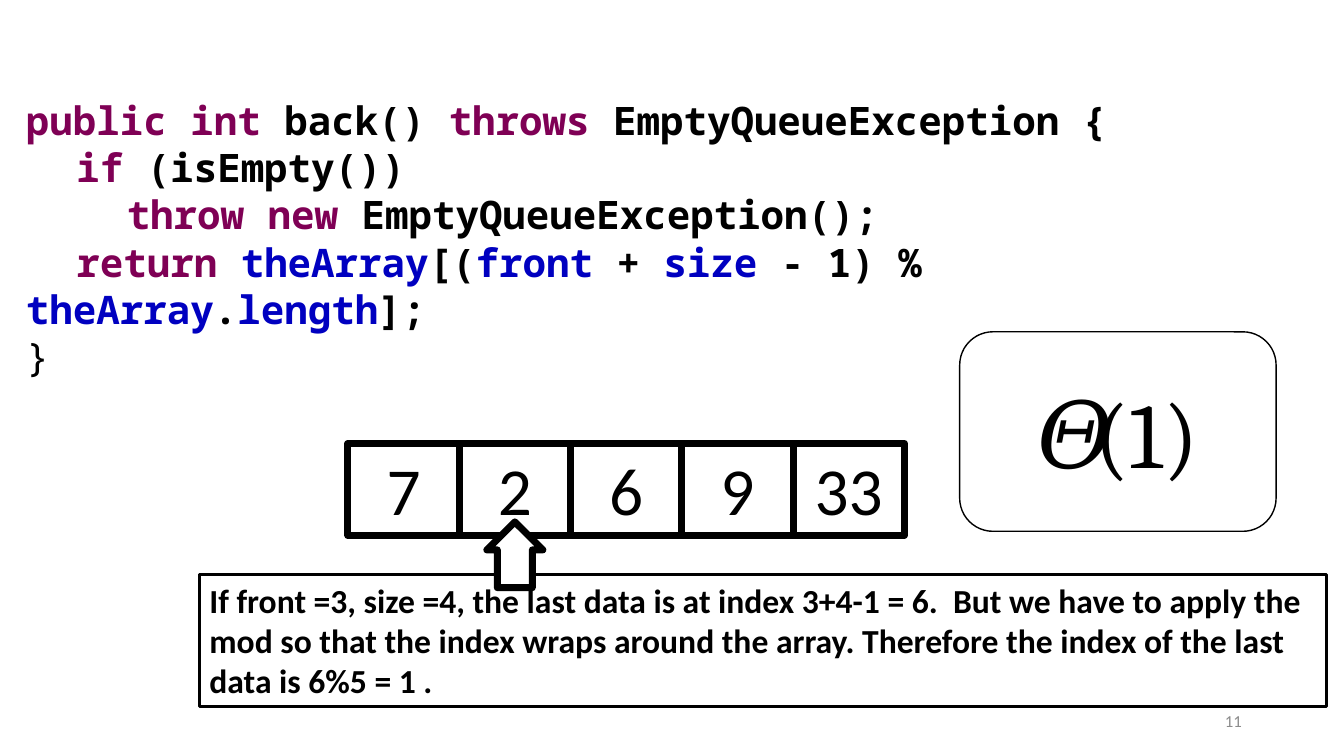
from pptx import Presentation
from pptx.dml.color import RGBColor
from pptx.enum.shapes import MSO_SHAPE
from pptx.enum.text import MSO_ANCHOR, PP_ALIGN
from pptx.util import Pt

RECT, ROUND, ARROW = MSO_SHAPE.RECTANGLE, MSO_SHAPE.ROUNDED_RECTANGLE, MSO_SHAPE.UP_ARROW
LEFT, MID, RIGHT = PP_ALIGN.LEFT, PP_ALIGN.CENTER, PP_ALIGN.RIGHT
TOP, CENTER = MSO_ANCHOR.TOP, MSO_ANCHOR.MIDDLE

BLACK = RGBColor(0x00, 0x00, 0x00)
WHITE = RGBColor(0xFF, 0xFF, 0xFF)
GREY = RGBColor(0x8C, 0x8C, 0x8C)
PLUM = RGBColor(0x7F, 0x00, 0x55)
BLUE = RGBColor(0x00, 0x00, 0xC0)

BODY, MATH, MONO = "Calibri", "Cambria", "Noto Sans Mono"

# Each code line is a list of (text, colour) parts
CODE = [
    [("public int", PLUM), (" back() ", BLACK), ("throws ", PLUM),
     ("EmptyQueueException {", BLACK)],
    [("\tif", PLUM), (" (isEmpty())", BLACK)],
    [("\t\tthrow new ", PLUM), ("EmptyQueueException();", BLACK)],
    [("\treturn ", PLUM), ("theArray", BLUE), ("[(", BLACK), ("front", BLUE),
     (" + ", BLACK), ("size", BLUE), (" - 1) % ", BLACK), ("theArray", BLUE),
     (".", BLACK), ("length", BLUE), ("];", BLACK)],
    [("}", BLACK)],
]
QUEUE = ["7", "2", "6", "9", "33"]
BACK = 1  # index of the last item in the queue
NOTE = ("If front =3, size =4, the last data is at index 3+4-1 = 6.  But we have to "
        "apply the mod so that the index wraps around the array. Therefore the index "
        "of the last data is 6%5 = 1 .")


def style(run, face, size, color, bold=False):
    font = run.font
    font.name, font.size, font.bold = face, Pt(size), bold
    font.color.rgb = color


def write(shape, text, face, size, color=BLACK, bold=False, align=LEFT, anchor=TOP):
    frame = shape.text_frame
    frame.word_wrap = True
    frame.vertical_anchor = anchor
    frame.text = text
    para = frame.paragraphs[0]
    para.alignment = align
    style(para.runs[0], face, size, color, bold)


def outline(slide, kind, box, weight):
    shape = slide.shapes.add_shape(kind, *map(Pt, box))
    shape.shadow.inherit = False
    shape.fill.background()
    shape.line.color.rgb = BLACK
    shape.line.width = Pt(weight)
    return shape


def add_code(slide, box):
    frame = slide.shapes.add_textbox(*map(Pt, box)).text_frame
    frame.word_wrap = True
    for row, parts in enumerate(CODE):
        para = frame.paragraphs[0] if row == 0 else frame.add_paragraph()
        for text, color in parts:
            run = para.add_run()
            run.text = text
            style(run, MONO, 28, color, bold=row < len(CODE) - 1)


def add_queue(slide, box):
    left, top, width, height = box
    cell = width / len(QUEUE)
    for i, value in enumerate(QUEUE):
        shape = outline(slide, RECT, (left + i * cell, top, cell, height), 5)
        write(shape, value, BODY, 48, align=MID)


def add_note(slide, box):
    write(outline(slide, RECT, box, 2), NOTE, BODY, 24, bold=True)


def add_arrow(slide, queue):
    # Points up at the cell that holds the last item
    left, top, width, height = queue
    wide, tall = 40, 47
    mid = left + (BACK + 0.5) * width / len(QUEUE)
    arrow = outline(slide, ARROW, (mid - wide / 2, top + height - 9.5, wide, tall), 5)
    arrow.adjustments[0], arrow.adjustments[1] = 0.625, 0.5
    arrow.fill.solid()
    arrow.fill.fore_color.rgb = WHITE


def add_cost(slide, box):
    write(outline(slide, ROUND, box, 1), "𝛩(1)", MATH, 66, align=MID, anchor=CENTER)


def add_number(slide, box):
    shape = slide.shapes.add_textbox(*map(Pt, box))
    write(shape, "11", BODY, 12, GREY, align=RIGHT, anchor=CENTER)


def main():
    deck = Presentation()
    deck.slide_width, deck.slide_height = Pt(960), Pt(540)
    slide = deck.slides.add_slide(deck.slide_layouts[6])
    queue = (248.5, 316.8, 397.5, 65.5)
    add_code(slide, (11.5, 65.5, 936, 177))
    add_queue(slide, queue)
    add_note(slide, (142.5, 410.4, 805, 94.3))
    add_arrow(slide, queue)
    add_cost(slide, (685.5, 237, 226, 142.5))
    add_number(slide, (678.2, 500.4, 216, 28.8))
    deck.save("out.pptx")


if __name__ == "__main__":
    main()
